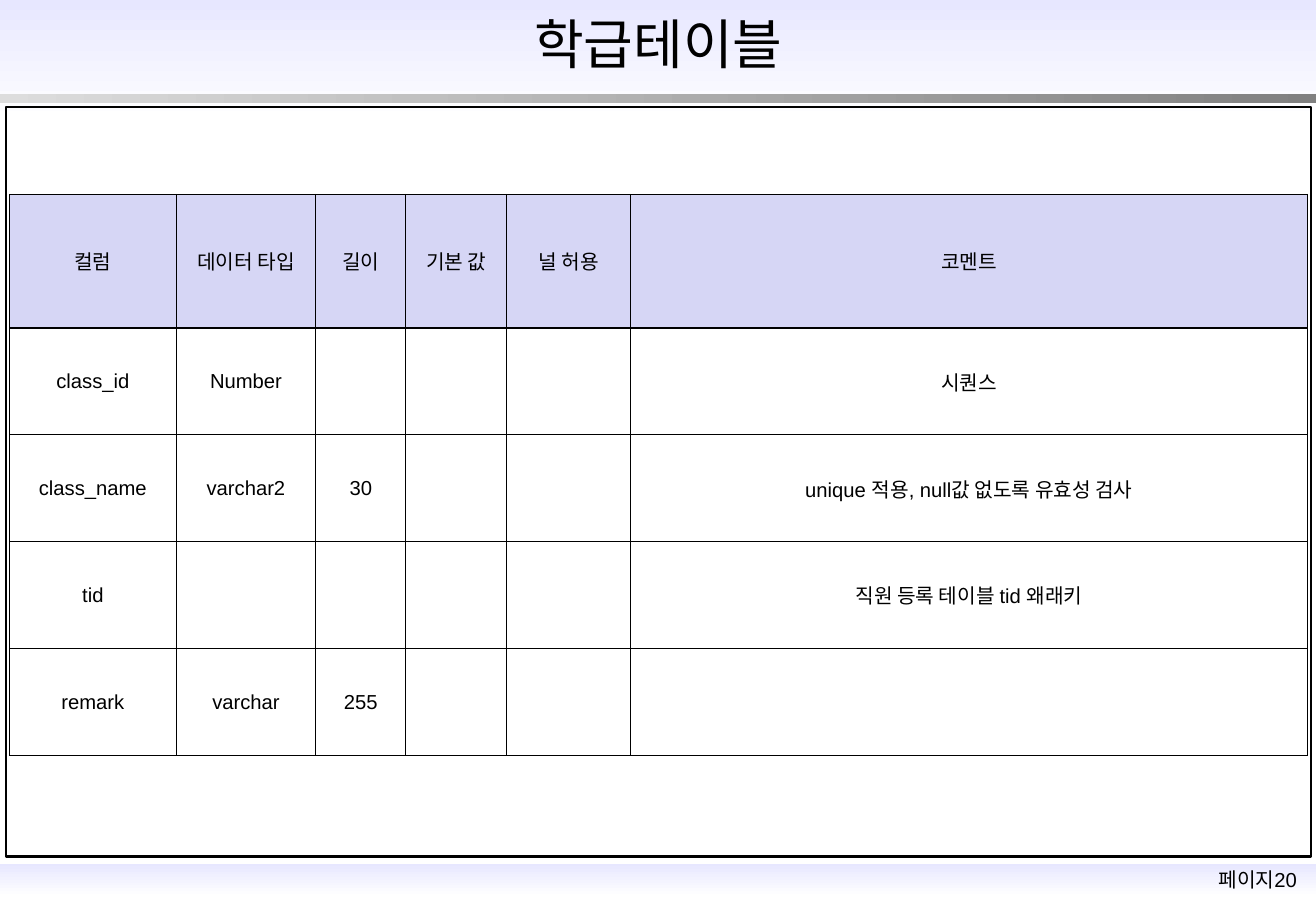
from dataclasses import dataclass

from lxml import etree
from pptx import Presentation
from pptx import util as u
from pptx.dml.color import RGBColor
from pptx.enum import shapes, text
from pptx.oxml import ns
from pptx.slide import Slide
from pptx.table import _Cell
from pptx.text.text import TextFrame

COLORS = {
    "ink": "000000",
    "lavender": "E7E7FF",
    "white": "FFFFFF",
    "header": "D6D6F5",
    "light_gray": "DDDDDD",
    "gray": "808080",
}
FONT = "Arial"
SLIDE_WIDTH, SLIDE_HEIGHT = 10.83, 7.5
COLUMN_WIDTHS = [1.37, 1.15, 0.74, 0.83, 1.02, 5.57]
HEADER_HEIGHT, ROW_HEIGHT = 1.1, 0.88
ROWS = [
    ["컬럼", "데이터 타입", "길이", "기본 값", "널 허용", "코멘트"],
    ["class_id", "Number", "", "", "", "시퀀스"],
    ["class_name", "varchar2", "30", "", "", "unique 적용, null값 없도록 유효성 검사"],
    ["tid", "", "", "", "", "직원 등록 테이블 tid 왜래키"],
    ["remark", "varchar", "255", "", "", ""],
]


@dataclass
class Band:
    top: float
    height: float
    start: str
    end: str
    angle: int  # counter-clockwise; 270 runs from top to bottom


BANDS = [
    Band(7.11, 0.27, "lavender", "white", 270),
    Band(0, 1, "lavender", "white", 270),
    Band(0.77, 0.08, "light_gray", "gray", 0),
]


def rgb(name: str) -> RGBColor:
    return RGBColor.from_string(COLORS[name])


def write(frame: TextFrame, words: str, *, size: float = 12, color: str = "ink",
          anchor: text.MSO_ANCHOR = text.MSO_ANCHOR.MIDDLE,
          margins: tuple[float, float] = (0, 0)) -> None:
    """Fill a frame with one centred paragraph; margins are (sides, top and bottom)."""
    frame.word_wrap = True
    frame.vertical_anchor = anchor
    frame.margin_left = frame.margin_right = u.Inches(margins[0])
    frame.margin_top = frame.margin_bottom = u.Inches(margins[1])
    para = frame.paragraphs[0]
    para.alignment = text.PP_ALIGN.CENTER
    span = para.add_run()
    span.text = words
    span.font.name = FONT
    span.font.size = u.Pt(size)
    span.font.bold = False
    span.font.color.rgb = rgb(color)


def add_band(page: Slide, band: Band) -> None:
    box = page.shapes.add_shape(
        shapes.MSO_SHAPE.RECTANGLE, 0, u.Inches(band.top),
        u.Inches(SLIDE_WIDTH), u.Inches(band.height))
    box.shadow.inherit = False
    box.line.fill.background()
    box.fill.gradient()
    box.fill.gradient_angle = band.angle
    for stop, color, position in zip(box.fill.gradient_stops, (band.start, band.end), (0, 1)):
        stop.color.rgb = rgb(color)
        stop.position = position


def add_frame(page: Slide) -> None:
    box = page.shapes.add_shape(
        shapes.MSO_SHAPE.RECTANGLE, u.Inches(0.05), u.Inches(0.88),
        u.Inches(10.74), u.Inches(6.17))
    box.shadow.inherit = False
    box.fill.background()
    box.line.color.rgb = rgb("ink")
    box.line.width = u.Pt(1.5)


def add_title(page: Slide) -> None:
    title = page.shapes.title
    title.left, title.top = u.Inches(1.64), u.Inches(0.1)
    title.width, title.height = u.Inches(7.56), u.Inches(0.51)
    write(title.text_frame, "학급테이블", size=32)
    title.text_frame.auto_size = text.MSO_AUTO_SIZE.NONE
    # Bring the title in front of the bands
    title.element.getparent().append(title.element)


def add_page_number(page: Slide) -> None:
    box = page.shapes.add_textbox(
        u.Inches(9.82), u.Inches(7.09), u.Inches(1.06), u.Inches(0.3))
    write(box.text_frame, "페이지20", anchor=text.MSO_ANCHOR.TOP, margins=(0.1, 0.05))
    box.text_frame.auto_size = text.MSO_AUTO_SIZE.SHAPE_TO_FIT_TEXT


def set_borders(cell: _Cell) -> None:
    properties = cell._tc.get_or_add_tcPr()
    for position, side in enumerate(("lnL", "lnR", "lnT", "lnB")):
        line = etree.Element(ns.qn(f"a:{side}"), w=str(u.Pt(0.75)))
        fill = etree.SubElement(line, ns.qn("a:solidFill"))
        etree.SubElement(fill, ns.qn("a:srgbClr"), val=COLORS["ink"])
        properties.insert(position, line)


def add_column_table(page: Slide) -> None:
    heights = [HEADER_HEIGHT] + [ROW_HEIGHT] * (len(ROWS) - 1)
    table = page.shapes.add_table(
        len(ROWS), len(COLUMN_WIDTHS), u.Inches(0.08), u.Inches(1.6),
        u.Inches(sum(COLUMN_WIDTHS)), u.Inches(sum(heights))).table
    table.horz_banding = False
    for column, width in zip(table.columns, COLUMN_WIDTHS):
        column.width = u.Inches(width)
    for index, (row, height, values) in enumerate(zip(table.rows, heights, ROWS)):
        row.height = u.Inches(height)
        for cell, value in zip(row.cells, values):
            if index == 0:
                cell.fill.solid()
                cell.fill.fore_color.rgb = rgb("header")
            else:
                cell.fill.background()
            set_borders(cell)
            cell.margin_left = cell.margin_right = u.Inches(0.08)
            cell.margin_top = cell.margin_bottom = u.Inches(0.04)
            cell.vertical_anchor = text.MSO_ANCHOR.MIDDLE
            if value:
                write(cell.text_frame, value)


def main() -> None:
    deck = Presentation()
    deck.slide_width, deck.slide_height = u.Inches(SLIDE_WIDTH), u.Inches(SLIDE_HEIGHT)
    page = deck.slides.add_slide(deck.slide_layouts.get_by_name("Title Only"))
    for band in BANDS:
        add_band(page, band)
    add_page_number(page)
    add_frame(page)
    add_title(page)
    add_column_table(page)
    deck.save("out.pptx")


if __name__ == "__main__":
    main()
